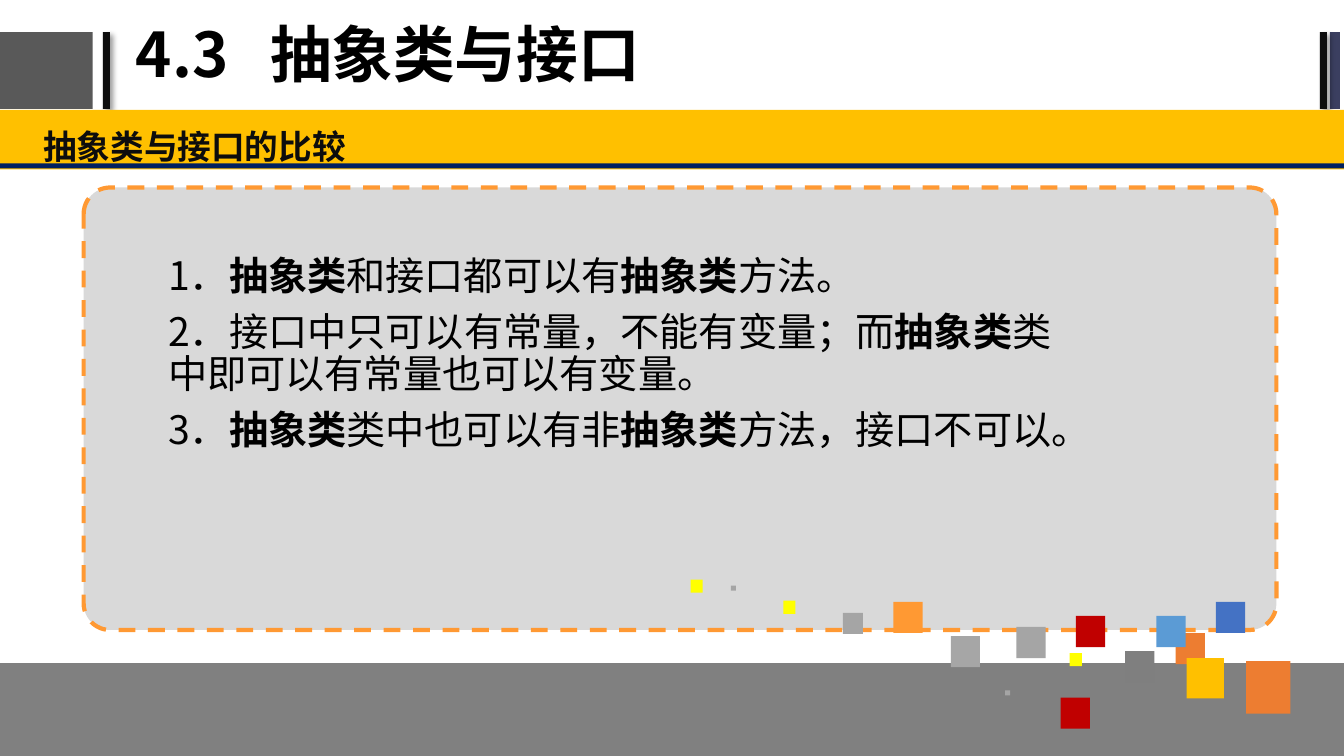
import pptx
import pptx.util
import pptx.dml.color
import pptx.enum.dml
import pptx.enum.shapes
import pptx.enum.text
import pptx.oxml
import pptx.oxml.ns
from dataclasses import dataclass

SCALE = 9144  # EMU in one px, 100 px to the inch
WIDE, HIGH = 1333, 750


@dataclass(frozen=True)
class Theme:
    font: str = "Noto Sans CJK SC"
    head: int = 44
    sub: int = 24
    body: int = 28
    black: str = "000000"
    ink: str = "0D0D0D"
    dark: str = "595959"
    slate: str = "3B3F60"
    navy: str = "002060"
    gold: str = "FFC000"
    panel: str = "D9D9D9"
    floor: str = "808080"
    amber: str = "FF9933"
    orange: str = "ED7D31"
    sky: str = "5B9BD5"
    blue: str = "4472C4"
    red: str = "C00000"
    yellow: str = "FFFF00"
    ash: str = "A5A5A5"
    smoke: str = "7F7F7F"
    mist: str = "A6A6A6"


THEME = Theme()

# left, top, width, height, colour
TILES = [
    (1236, 656, 44, 52, THEME.orange),
    (1166, 628, 29, 31, THEME.orange),
    (1177, 653, 37, 40, THEME.gold),
    (1147, 611, 29, 31, THEME.sky),
    (997, 685, 5, 5, THEME.ash),
    (1206, 597, 29, 31, THEME.blue),
    (1061, 648, 12, 13, THEME.yellow),
    (1008, 622, 29, 31, THEME.ash),
    (1067, 611, 29, 31, THEME.red),
    (1116, 646, 29, 31, THEME.smoke),
    (1052, 692, 29, 31, THEME.red),
    (725, 581, 5, 5, THEME.ash),
    (777, 596, 12, 13, THEME.yellow),
    (836, 608, 20, 21, THEME.ash),
    (886, 597, 29, 31, THEME.amber),
    (943, 631, 29, 31, THEME.mist),
    (685, 575, 12, 13, THEME.yellow),
]

# Each point is a list of (text, bold) runs
POINTS = [
    [("1．", False), ("抽象类", True), ("和接口都可以有", False),
     ("抽象类", True), ("方法。", False)],
    [("2．接口中只可以有常量，不能有变量；而", False), ("抽象类", True),
     ("类中即可以有常量也可以有变量。", False)],
    [("3．", False), ("抽象类", True), ("类中也可以有非", False),
     ("抽象类", True), ("方法，接口不可以。", False)],
]


def px(*sizes):
    return [pptx.util.Emu(size * SCALE) for size in sizes]


def rgb(color):
    return pptx.dml.color.RGBColor.from_string(color)


def block(slide, left, top, width, height, color, kind="RECTANGLE"):
    shape = slide.shapes.add_shape(
        pptx.enum.shapes.MSO_SHAPE[kind], *px(left, top, width, height))
    shape.shadow.inherit = False
    shape.fill.solid()
    shape.fill.fore_color.rgb = rgb(color)
    shape.line.fill.background()
    return shape


def shade(shape):
    """Cast a soft shadow to the lower right."""
    effects = shape._element.spPr.find(pptx.oxml.ns.qn("a:effectLst"))
    effects.append(pptx.oxml.parse_xml(
        f'<a:outerShdw {pptx.oxml.ns.nsdecls("a")} blurRad="50800" '
        'dist="38100" dir="2700000" algn="tl" rotWithShape="0">'
        f'<a:srgbClr val="{THEME.black}"><a:alpha val="40000"/></a:srgbClr>'
        '</a:outerShdw>'))


def panel(slide):
    shape = block(slide, 83, 186, 1183, 439, THEME.panel, "ROUNDED_RECTANGLE")
    shape.adjustments[0] = 0.06
    shape.line.color.rgb = rgb(THEME.amber)
    shape.line.width = pptx.util.Pt(3)
    shape.line.dash_style = pptx.enum.dml.MSO_LINE.DASH


def frame(slide, left, top, width, height):
    box = slide.shapes.add_textbox(*px(left, top, width, height))
    box.text_frame.word_wrap = True
    return box.text_frame


def write(para, runs, size, color):
    """Add (text, bold) runs, with the font set for Latin and Chinese."""
    for text, bold in runs:
        run = para.add_run()
        run.text = text
        font = run.font
        font.name = THEME.font
        font.size = pptx.util.Pt(size)
        font.bold = bold
        font.color.rgb = rgb(color)
        run._r.get_or_add_rPr().find(pptx.oxml.ns.qn("a:latin")).addnext(
            pptx.oxml.parse_xml(
                f'<a:ea {pptx.oxml.ns.nsdecls("a")} '
                f'typeface="{THEME.font}"/>'))


def title(slide):
    text = frame(slide, 125, 2, 847, 110)
    text.vertical_anchor = pptx.enum.text.MSO_ANCHOR.MIDDLE
    para = text.paragraphs[0]
    para.line_spacing = 0.9
    stop = px(133)[0]
    para._p.get_or_add_pPr().append(pptx.oxml.parse_xml(
        f'<a:tabLst {pptx.oxml.ns.nsdecls("a")}>'
        f'<a:tab pos="{stop}" algn="l"/></a:tabLst>'))
    write(para, [("4.3\t抽象类与接口", True)], THEME.head, THEME.black)


def banner(slide):
    block(slide, -5, 109, 1341, 59, THEME.gold)
    text = frame(slide, 30, 110, 1306, 58)
    text.margin_left, text.margin_right = px(13, 13)
    text.margin_top, text.margin_bottom = px(7, 7)
    para = text.paragraphs[0]
    para.line_spacing = 1.2
    write(para, [("抽象类与接口的比较", True)], THEME.sub, THEME.ink)
    block(slide, 0, 162, WIDE, 5, THEME.navy)


def points(slide):
    text = frame(slide, 157, 249, 898, 367)
    for rank, runs in enumerate(POINTS):
        para = text.add_paragraph() if rank else text.paragraphs[0]
        para.line_spacing = pptx.util.Pt(30)
        if rank:
            para.space_before = pptx.util.Pt(10)
        write(para, runs, THEME.body, THEME.black)


def header(slide):
    block(slide, -2, 32, 94, 76, THEME.dark)
    block(slide, 1319, 32, 10, 76, THEME.slate)
    for left in (102, 1309):
        shade(block(slide, left, 32, 7, 76, THEME.ink))


def main():
    deck = pptx.Presentation()
    deck.slide_width, deck.slide_height = px(WIDE, HIGH)
    slide = deck.slides.add_slide(deck.slide_layouts[6])
    header(slide)
    panel(slide)
    title(slide)
    banner(slide)
    block(slide, 0, 658, WIDE, 93, THEME.floor)
    for tile in TILES:
        block(slide, *tile)
    points(slide)
    deck.save("out.pptx")


if __name__ == "__main__":
    main()
